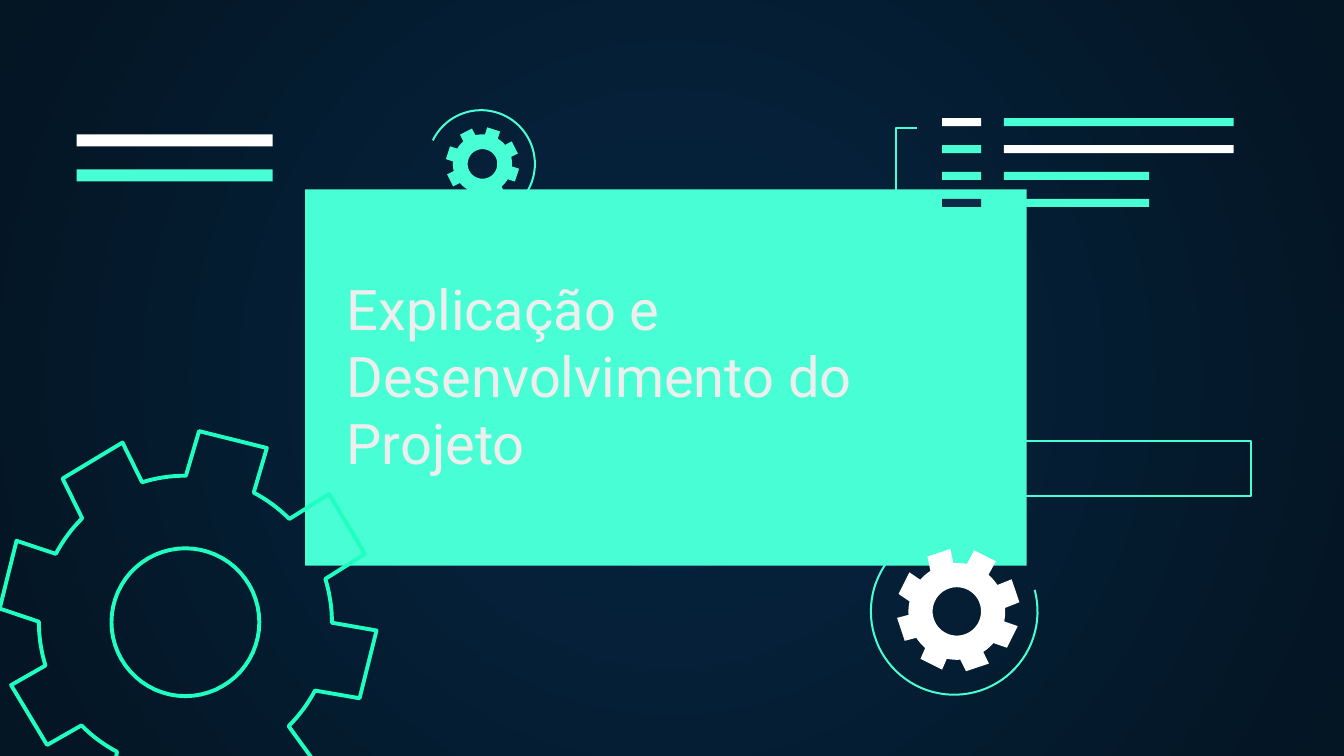
from math import asin, cos, degrees, hypot, radians, sin

from lxml.etree import SubElement
from pptx import Presentation
from pptx.dml.color import RGBColor
from pptx.enum.shapes import MSO_SHAPE
from pptx.oxml.ns import qn
from pptx.util import Inches, Pt

MINT = RGBColor(0x48, 0xFF, 0xD5)
GREEN = RGBColor(0x1E, 0xFF, 0xC1)
WHITE = RGBColor(0xFF, 0xFF, 0xFF)
NAVY = RGBColor(0x0E, 0x2A, 0x47)
PALE = RGBColor(0xEE, 0xEE, 0xEE)
GLOW = RGBColor(0x05, 0x26, 0x43)
NIGHT = RGBColor(0x04, 0x15, 0x23)
THIN = 1.09


def paint(shape, fill=None, line=None, width=THIN):
    """Give a shape its fill and line, and take off its shadow."""
    shape.shadow.inherit = False
    if fill is None:
        shape.fill.background()
    else:
        shape.fill.solid()
        shape.fill.fore_color.rgb = fill
    if line is None:
        shape.line.fill.background()
    else:
        shape.line.color.rgb = line
        shape.line.width = Pt(width)


def add_bar(slide, left, top, width, height, **style):
    """Add a rectangle."""
    bar = slide.shapes.add_shape(
        MSO_SHAPE.RECTANGLE, Inches(left), Inches(top), Inches(width), Inches(height))
    paint(bar, **style)


def add_outline(slide, contours, close=True, **style):
    """Add one freeform made of the given contours."""
    contours = [[(Inches(x), Inches(y)) for x, y in contour] for contour in contours]
    builder = slide.shapes.build_freeform(*contours[0][0])
    for number, (start, *rest) in enumerate(contours):
        if number:
            builder.move_to(*start)
        builder.add_line_segments(rest, close=close)
    paint(builder.convert_to_shape(), **style)


def add_text(slide, text, left, top, width, height, font="Roboto", size=30, color=PALE):
    """Add a wrapped text box."""
    box = slide.shapes.add_textbox(
        Inches(left), Inches(top), Inches(width), Inches(height))
    box.text_frame.word_wrap = True
    run = box.text_frame.paragraphs[0].add_run()
    run.text = text
    run.font.name = font
    run.font.size = Pt(size)
    run.font.color.rgb = color


def arc_points(x, y, radius, start, end, steps=60):
    """Return points along an arc, with angles in degrees clockwise from the right."""
    angles = [radians(start + (end - start) * i / steps) for i in range(steps + 1)]
    return [(x + radius * cos(a), y + radius * sin(a)) for a in angles]


def add_gear(slide, x, y, reach, body, half_tooth, hole, turn, shift=0, teeth=8, **style):
    """Add a gear of straight teeth whose hub sits shift left of and below x, y."""
    hub = (x - shift, y + shift)
    root = degrees(asin(half_tooth / body))
    corner = hypot(reach, half_tooth)
    tip = degrees(asin(half_tooth / corner))
    pitch = 360 / teeth
    rim = []
    for number in range(teeth):
        angle = turn + number * pitch
        rim += arc_points(x, y, corner, angle - tip, angle + tip, 1)
        rim += arc_points(*hub, body, angle + root, angle + pitch - root, 8)
    add_outline(slide, [rim, arc_points(*hub, hole, 360, 0)[:-1]], **style)


def add_orbit(slide, x, y, radius, start, end):
    """Add an open thin ring around a gear."""
    add_outline(slide, [arc_points(x, y, radius, start, end)], close=False, line=MINT)


def add_code_lines(slide, left, top):
    """Add the bracket and the rows of short and long bars."""
    rows = [(WHITE, MINT, 1.71), (MINT, WHITE, 1.71), (MINT, MINT, 1.08), (NAVY, MINT, 1.08)]
    for number, (label_color, line_color, length) in enumerate(rows):
        row_top = top + number * 0.2
        add_bar(slide, left + 0.34, row_top, 0.29, 0.06, fill=label_color)
        add_bar(slide, left + 0.8, row_top, length, 0.06, fill=line_color)
    bracket = [(left + 0.15, top + 0.68), (left, top + 0.68),
               (left, top + 0.07), (left + 0.15, top + 0.07)]
    add_outline(slide, [bracket], close=False, line=MINT)


def add_double_bar(slide, left, top):
    """Add the white bar above the mint bar."""
    for number, color in enumerate((WHITE, MINT)):
        add_bar(slide, left, top + number * 0.26, 1.46, 0.09, fill=color)


def add_background(slide):
    """Fill the background with a round gradient."""
    fill = slide.background.fill
    fill.gradient()
    for stop, color, position in zip(fill.gradient_stops, (GLOW, NIGHT), (0, 1)):
        stop.color.rgb = color
        stop.position = position
    gradient = slide.element.find(".//" + qn("a:gradFill"))
    for linear in gradient.findall(qn("a:lin")):
        gradient.remove(linear)
    circle = SubElement(gradient, qn("a:path"), path="circle")
    SubElement(circle, qn("a:fillToRect"), l="50000", t="50000", r="50000", b="50000")


def build_title_slide(slide):
    """Place all the parts of the section title slide."""
    add_background(slide)
    add_bar(slide, 2.27, 1.41, 5.37, 2.8, fill=MINT)
    add_orbit(slide, 3.58, 1.22, 0.4, 206, 456)
    add_orbit(slide, 7.1, 4.55, 0.62, -15, 233.5)
    add_gear(slide, 1.4, 4.61, 1.38, 1.09, 0.26, 0.55, 14, shift=0.02, line=GREEN, width=2.1)
    add_gear(slide, 7.13, 4.54, 0.45, 0.36, 0.09, 0.18, 26.4, shift=0.01, fill=WHITE)
    add_gear(slide, 3.59, 1.22, 0.27, 0.22, 0.05, 0.11, 18, fill=MINT)
    add_code_lines(slide, 6.67, 0.88)
    add_double_bar(slide, 0.57, 1)
    add_bar(slide, 7.2, 3.28, 2.11, 0.41, line=MINT)
    add_text(slide, "Explicação e Desenvolvimento do Projeto", 2.48, 1.99, 5.03, 1.62)


def main():
    """Build and save the presentation."""
    deck = Presentation()
    deck.slide_width = Inches(10)
    deck.slide_height = deck.slide_width * 9 // 16
    build_title_slide(deck.slides.add_slide(deck.slide_layouts[6]))
    deck.save("out.pptx")


if __name__ == "__main__":
    main()
